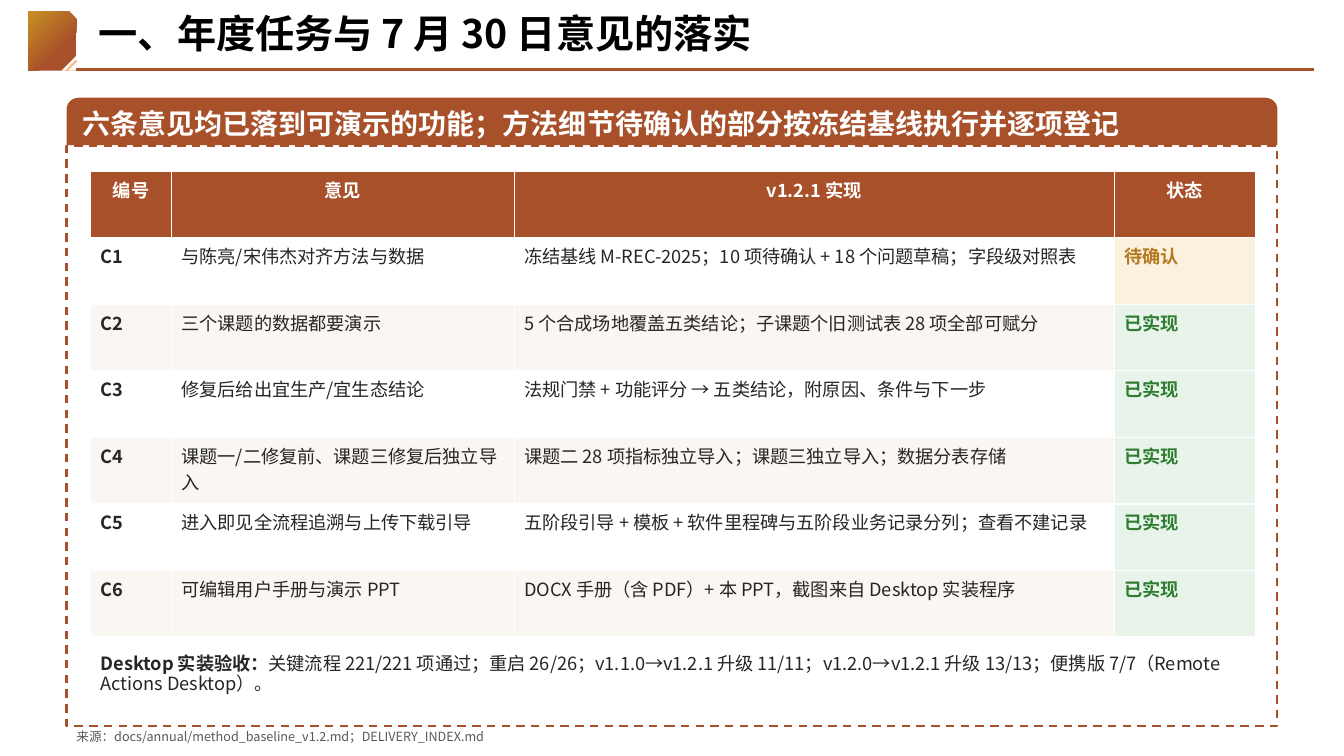
from lxml import etree
from pptx import Presentation, util as u
from pptx.dml.color import RGBColor
from pptx.enum import dml, shapes, text
from pptx.oxml import ns

RUST, GOLD, PEACH, INK, WHITE, CREAM = "A8502A", "C58C23", "FFB57D", "262626", "FFFFFF", "FAF6F1"
STATES = {"待确认": ("B7791F", "FBF1DF"), "已实现": ("2E7D32", "E8F3E9")}
FACE = "Noto Sans CJK SC"


def paint(target, color):
    if hasattr(target, "solid"):
        target.solid()
        target = target.fore_color
    target.rgb = RGBColor.from_string(color)


def write(frame, pieces, size, color, align=text.PP_ALIGN.LEFT, spacing=1.0):
    frame.word_wrap = True
    para = frame.paragraphs[0]
    para.alignment, para.line_spacing = align, spacing
    for words, bold in pieces:
        span = para.add_run()
        span.text = words
        for name, value in {"size": u.Pt(size), "bold": bold, "name": FACE}.items():
            setattr(span.font, name, value)
        paint(span.font.color, color)
        etree.SubElement(span.font._element, ns.qn("a:ea"), typeface=FACE)


deck = Presentation()
deck.slide_width, deck.slide_height = u.Inches(13.33), u.Inches(7.5)
page = deck.slides.add_slide(deck.slide_layouts[5])
KINDS = shapes.MSO_SHAPE

outlines = {}
for name, kind, area in [
    ("badge", KINDS.SNIP_1_RECTANGLE, (0.28, 0.11, 0.48, 0.59)),
    ("corner", KINDS.RIGHT_TRIANGLE, (0.61, 0.55, 0.15, 0.15)),
    ("frame", KINDS.RECTANGLE, (0.66, 1.45, 12.01, 5.75)),
    ("banner", KINDS.ROUND_2_SAME_RECTANGLE, (0.66, 0.97, 12.01, 0.47)),
]:
    shape = page.shapes.add_shape(kind, *map(u.Inches, area))
    shape.shadow.inherit = False
    shape.line.fill.background()
    outlines[name] = shape

badge = outlines["badge"].fill
badge.gradient()
badge.gradient_angle = 135
for stop, (position, color) in zip(badge.gradient_stops, [(0.33, RUST), (0.94, GOLD)]):
    stop.position = position
    paint(stop.color, color)

outlines["corner"].rotation = 270
paint(outlines["corner"].fill, WHITE)
outlines["frame"].fill.background()
border = outlines["frame"].line
paint(border.fill, RUST)
border.width, border.dash_style = u.Pt(1.5), dml.MSO_LINE.DASH

for ends, color in [((0.66, 0.7, 0.76, 0.6), PEACH), ((0.75, 0.69, 13.03, 0.69), RUST)]:
    rule = page.shapes.add_connector(shapes.MSO_CONNECTOR.STRAIGHT, *map(u.Inches, ends))
    paint(rule.line.fill, color)
    rule.line.width = u.Pt(1.5)
    etree.SubElement(rule._element.spPr, ns.qn("a:effectLst"))

title = page.shapes.title
for name, inches in zip(("left", "top", "width", "height"), (0.88, 0.09, 12.05, 0.6)):
    setattr(title, name, u.Inches(inches))
title.text_frame.vertical_anchor = text.MSO_ANCHOR.TOP
title.text_frame.auto_size = text.MSO_AUTO_SIZE.NONE
write(title.text_frame, [("一、年度任务与 7 月 30 日意见的落实", True)], 28, "000000", spacing=0.9)

banner = outlines["banner"]
banner.adjustments[0] = 0.25
paint(banner.fill, RUST)
for side in ("left", "top", "right", "bottom"):
    setattr(banner.text_frame, f"margin_{side}", u.Inches(0.12))
banner.text_frame.vertical_anchor = text.MSO_ANCHOR.MIDDLE
write(banner.text_frame, [("六条意见均已落到可演示的功能；方法细节待确认的部分按冻结基线执行并逐项登记", True)], 20, WHITE)

rows = [
    ("编号", "意见", "v1.2.1 实现", "状态"),
    ("C1", "与陈亮/宋伟杰对齐方法与数据", "冻结基线 M-REC-2025；10 项待确认 + 18 个问题草稿；字段级对照表", "待确认"),
    ("C2", "三个课题的数据都要演示", "5 个合成场地覆盖五类结论；子课题个旧测试表 28 项全部可赋分", "已实现"),
    ("C3", "修复后给出宜生产/宜生态结论", "法规门禁 + 功能评分 → 五类结论，附原因、条件与下一步", "已实现"),
    ("C4", "课题一/二修复前、课题三修复后独立导入", "课题二 28 项指标独立导入；课题三独立导入；数据分表存储", "已实现"),
    ("C5", "进入即见全流程追溯与上传下载引导", "五阶段引导 + 模板 + 软件里程碑与五阶段业务记录分列；查看不建记录", "已实现"),
    ("C6", "可编辑用户手册与演示 PPT", "DOCX 手册（含 PDF）+ 本 PPT，截图来自 Desktop 实装程序", "已实现"),
]
widths = (0.8, 3.4, 5.95, 1.4)
table = page.shapes.add_table(
    len(rows), len(widths), u.Inches(0.9), u.Inches(1.7), u.Inches(sum(widths)), u.Inches(0.66 * len(rows))
).table
table.horz_banding = False
for column, width in zip(table.columns, widths):
    column.width = u.Inches(width)
for r, row in enumerate(rows):
    table.rows[r].height = u.Inches(0.66)
    for c, words in enumerate(row):
        cell = table.cell(r, c)
        color, back = STATES.get(words, (INK, WHITE if r % 2 else CREAM))
        align = text.PP_ALIGN.LEFT
        if r == 0:
            color, back, align = WHITE, RUST, text.PP_ALIGN.CENTER
        write(cell.text_frame, [(words, r == 0 or c in (0, 3))], 13, color, align)
        properties = cell._tc.get_or_add_tcPr()
        for edge in ("lnL", "lnR", "lnT", "lnB"):
            line = etree.SubElement(properties, ns.qn(f"a:{edge}"), w=str(u.Pt(1)))
            solid = etree.SubElement(line, ns.qn("a:solidFill"))
            etree.SubElement(solid, ns.qn("a:srgbClr"), val=WHITE)
        paint(cell.fill, back)

acceptance = [
    ("Desktop 实装验收：", True),
    ("关键流程 221/221 项通过；重启 26/26；v1.1.0→v1.2.1 升级 11/11；v1.2.0→v1.2.1 升级 13/13；便携版 7/7（Remote Actions Desktop）。", False),
]
source = [("来源：docs/annual/method_baseline_v1.2.md；DELIVERY_INDEX.md", False)]
for area, pieces, size, color in [
    ((0.9, 6.45, 11.5, 0.6), acceptance, 13, INK),
    ((0.66, 7.2, 12, 0.28), source, 9, "595959"),
]:
    box = page.shapes.add_textbox(*map(u.Inches, area))
    write(box.text_frame, pieces, size, color, spacing=0.9)

deck.save("out.pptx")
